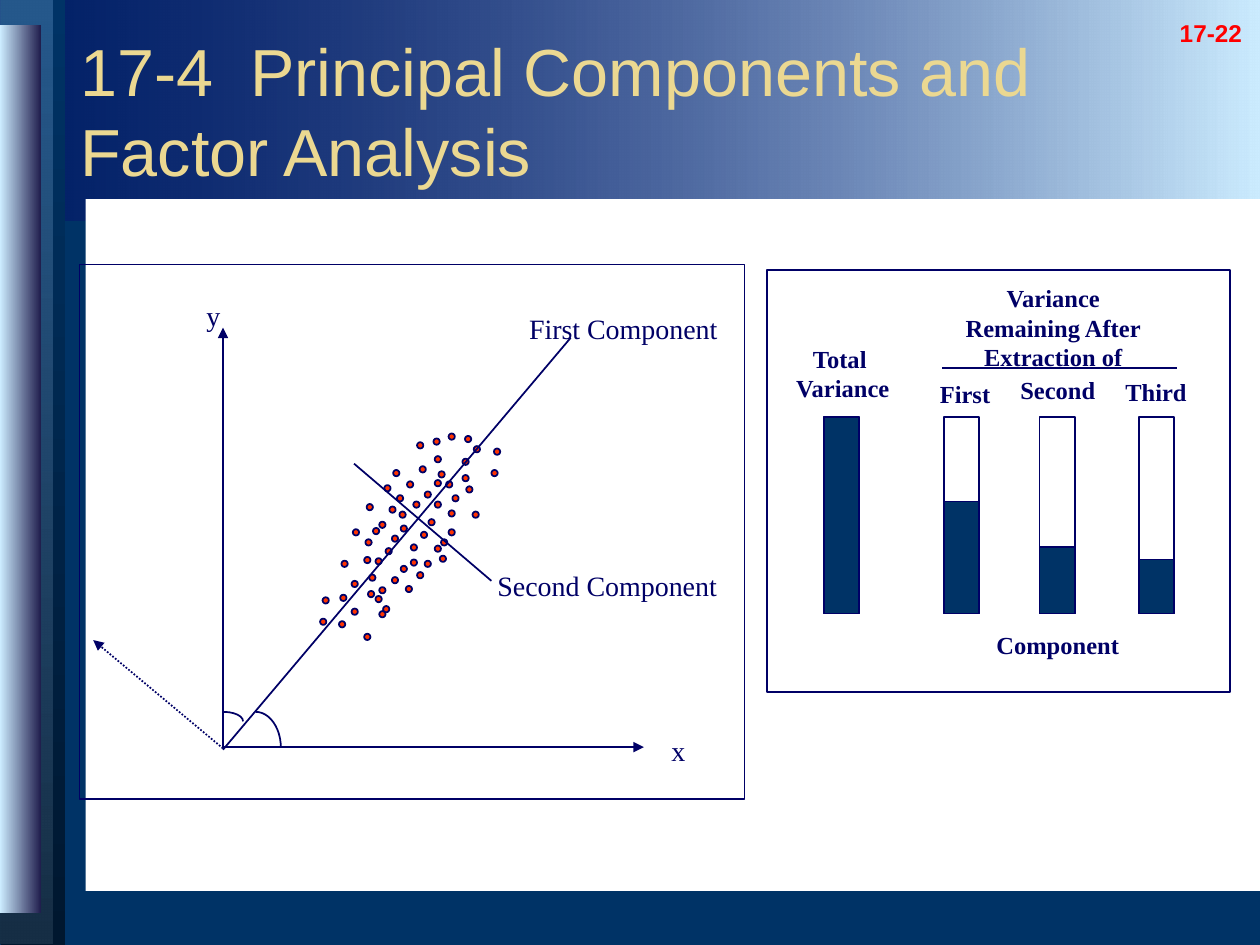
from lxml import etree
from pptx import Presentation
from pptx.dml.color import RGBColor
from pptx.enum.dml import MSO_LINE
from pptx.enum.shapes import MSO_CONNECTOR, MSO_SHAPE
from pptx.enum.text import MSO_ANCHOR, MSO_AUTO_SIZE, PP_ALIGN
from pptx.oxml.ns import qn
from pptx.util import Inches, Pt

RECTANGLE, OVAL, ARC = MSO_SHAPE.RECTANGLE, MSO_SHAPE.OVAL, MSO_SHAPE.ARC
STRAIGHT = MSO_CONNECTOR.STRAIGHT
DOTTED = MSO_LINE.ROUND_DOT
LEFT, CENTER = PP_ALIGN.LEFT, PP_ALIGN.CENTER
TOP, MIDDLE = MSO_ANCHOR.TOP, MSO_ANCHOR.MIDDLE
FIXED, GROW = MSO_AUTO_SIZE.NONE, MSO_AUTO_SIZE.SHAPE_TO_FIT_TEXT

NAVY = RGBColor(0x00, 0x00, 0x66)
DEEP_BLUE = RGBColor(0x00, 0x33, 0x66)
DARK_BLUE = RGBColor(0x00, 0x17, 0x2F)
STEEL = RGBColor(0x33, 0x66, 0x99)
SLATE = RGBColor(0x17, 0x2F, 0x46)
INDIGO = RGBColor(0x1E, 0x1B, 0x4B)
PALE_BLUE = RGBColor(0xCC, 0xEC, 0xFF)
WHITE = RGBColor(0xFF, 0xFF, 0xFF)
RED = RGBColor(0xFF, 0x00, 0x00)
ORANGE_RED = RGBColor(0xFF, 0x33, 0x00)
GOLD = RGBColor(0xEB, 0xD8, 0x91)

# Background bands: box, (colour, opacity percent) stops, angle
BANDS = [
    ((0, 0, 10, 1.75), [(PALE_BLUE, 100), (NAVY, 38)], 180),
    ((0.01, 0, 0.51, 7.5), [(DEEP_BLUE, 100), (DARK_BLUE, 100)], 270),
    ((-0.02, -0.01, 0.44, 7.5), [(STEEL, 73), (SLATE, 100)], 270),
    ((0, 0.2, 0.33, 7.05), [(INDIGO, 100), (PALE_BLUE, 100)], 180),
]
CONTENT_AREA = (0.68, 1.58, 9.32, 5.49)

# Text formats
TITLE = {"name": "Arial", "size": Pt(38)}
PAGE = {"name": "Arial", "size": Pt(24), "bold": True}
AXIS = {"name": "Times New Roman", "size": Pt(16)}
LABEL = {"name": "Times New Roman", "size": Pt(14), "bold": True}

# Scatter diagram
SCATTER_FRAME = (0.63, 2.1, 5.28, 4.24)
DOT_SIZE = 0.05
DOTS = [
    (3.44, 3.48), (3.09, 4.02), (2.8, 4.2), (2.89, 4.42), (3.06, 4.35),
    (2.79, 4.61), (2.91, 4), (3.11, 4.25), (3.69, 3.46), (3.7, 3.86),
    (3.54, 3.82), (3.26, 4.32), (3.56, 4.2), (2.98, 4.73), (3.9, 3.73),
    (3.22, 4.65), (3.33, 3.7), (3.15, 3.93), (3.18, 4.49), (3.05, 3.85),
    (3.01, 4.14), (3.56, 3.44), (3.45, 3.98), (3.31, 3.51), (3.76, 3.54),
    (3.26, 4.44), (3.12, 3.73), (2.96, 4.19), (2.98, 4.43), (3.01, 4.66),
    (2.79, 4.83), (2.71, 4.45), (3.49, 4.41), (3.92, 3.56), (3.75, 4.06),
    (3.01, 4.85), (3.37, 4.45), (3.56, 4.05), (3.4, 4.12), (3.67, 3.77),
    (3.34, 4.22), (3.04, 4.81), (2.7, 4.72), (2.92, 4.69), (3.18, 4.17),
    (2.9, 4.28), (3.48, 3.74), (2.56, 4.74), (3.23, 3.82), (3.11, 4.58),
    (3.31, 4.54), (3.28, 3.98), (3.45, 4.33), (2.89, 5.03), (2.93, 4.56),
    (2.69, 4.93), (3.17, 4.06), (3.5, 4.28), (3.37, 3.9), (3.45, 3.81),
    (3.67, 3.64), (3.59, 3.93), (2.54, 4.91), (3.45, 3.62),
]
# Lines: start, end, arrow at end, dash
LINES = [
    ((1.77, 5.92), (1.77, 2.6), True, None),     # y axis
    ((1.76, 5.93), (5.11, 5.93), True, None),    # x axis
    ((1.77, 5.95), (4.53, 2.68), False, None),   # first component
    ((2.81, 3.68), (3.9, 4.61), False, None),    # second component
    ((1.77, 5.94), (0.74, 5.08), True, DOTTED),  # rotated axis
    ((7.48, 2.92), (9.34, 2.92), False, None),   # rule under variance heading
]
ANGLE_ARCS = [(1.63, 5.65, 0.3, 0.15), (1.83, 5.65, 0.4, 0.57)]

# Variance bars: left edge, height of the filled part
VARIANCE_FRAME = (6.09, 2.14, 3.67, 3.35)
BAR_TOP, BAR_WIDTH, BAR_HEIGHT = 3.31, 0.28, 1.56
BARS = [(6.54, 1.56), (7.49, 0.89), (8.25, 0.53), (9.04, 0.43)]

# Labels: paragraphs, box, format, alignment
LABELS = [
    (["First Component"], (4.1, 2.42, 1.71, 0.36), AXIS, LEFT),
    (["Second Component"], (3.85, 4.46, 1.96, 0.36), AXIS, LEFT),
    (["x"], (5.23, 5.77, 0.31, 0.36), AXIS, LEFT),
    (["y"], (1.54, 2.32, 0.31, 0.36), AXIS, LEFT),
    (["Total ", "Variance"], (6.21, 2.68, 0.96, 0.56), LABEL, CENTER),
    (["Variance", "Remaining After", "Extraction of"],
     (7.56, 2.2, 1.6, 0.8), LABEL, CENTER),
    (["First"], (7.36, 2.96, 0.6, 0.33), LABEL, CENTER),
    (["Second"], (7.99, 2.93, 0.81, 0.33), LABEL, CENTER),
    (["Third"], (8.83, 2.94, 0.69, 0.33), LABEL, CENTER),
    (["Component"], (7.8, 4.95, 1.19, 0.33), LABEL, CENTER),
]

presentation = Presentation()
presentation.slide_width, presentation.slide_height = Inches(10), Inches(7.5)
slide = presentation.slides.add_slide(presentation.slide_layouts[6])
slide.background.fill.solid()
slide.background.fill.fore_color.rgb = DEEP_BLUE


def add_shape(kind, box, fill=None, line=None):
    shape = slide.shapes.add_shape(kind, *map(Inches, box))
    shape.shadow.inherit = False
    if fill is None:
        shape.fill.background()
    else:
        shape.fill.solid()
        shape.fill.fore_color.rgb = fill
    if line is None:
        shape.line.fill.background()
    else:
        shape.line.color.rgb = line
        shape.line.width = Pt(1)
    return shape


def add_band(box, stops, angle):
    band = add_shape(RECTANGLE, box)
    band.fill.gradient()
    band.fill.gradient_angle = angle
    for stop, position, (color, _) in zip(band.fill.gradient_stops, (0, 1), stops):
        stop.position = position
        stop.color.rgb = color
    elements = list(band._element.spPr.iter(qn("a:srgbClr")))
    for element, (_, opacity) in zip(elements, stops):
        if opacity < 100:
            etree.SubElement(element, qn("a:alpha"), val=str(opacity * 1000))


def add_line(start, end, arrow, dash):
    line = slide.shapes.add_connector(STRAIGHT, *map(Inches, start + end))
    line.line.color.rgb = NAVY
    line.line.width = Pt(1)
    if dash is not None:
        line.line.dash_style = dash
    if arrow:
        etree.SubElement(line.line._get_or_add_ln(), qn("a:tailEnd"), type="triangle")
    etree.SubElement(line._element.spPr, qn("a:effectLst"))


def add_text(paragraphs, box, text_format, align=LEFT, color=NAVY,
             wrap=False, anchor=TOP, auto_size=GROW):
    frame = slide.shapes.add_textbox(*map(Inches, box)).text_frame
    frame.auto_size = auto_size
    frame.word_wrap = wrap
    frame.vertical_anchor = anchor
    frame.text = "\n".join(paragraphs)
    for paragraph in frame.paragraphs:
        paragraph.alignment = align
        font = paragraph.runs[0].font
        font.color.rgb = color
        for name, value in text_format.items():
            setattr(font, name, value)
    return frame


# Background and page number
for band in BANDS:
    add_band(*band)
add_shape(RECTANGLE, CONTENT_AREA, WHITE)
page = add_text(["17-22"], (9.17, -0.13, 0.88, 0.56), PAGE, CENTER, RED, True,
                auto_size=FIXED)
page.paragraphs[0].runs[0].font._element.set("baseline", "-25000")

# Scatter diagram
for left, top in DOTS:
    add_shape(OVAL, (left, top, DOT_SIZE, DOT_SIZE), ORANGE_RED, NAVY)
for line in LINES:
    add_line(*line)
for box in ANGLE_ARCS:
    add_shape(ARC, box, line=NAVY)

# Variance bars
for left, filled in BARS:
    add_shape(RECTANGLE, (left, BAR_TOP, BAR_WIDTH, BAR_HEIGHT), line=NAVY)
    add_shape(RECTANGLE, (left, BAR_TOP + BAR_HEIGHT - filled, BAR_WIDTH, filled),
              DEEP_BLUE, NAVY)

# Frames, labels and title
for frame_box in (SCATTER_FRAME, VARIANCE_FRAME):
    add_shape(RECTANGLE, frame_box, line=NAVY)
for label in LABELS:
    add_text(*label)
add_text(["17-4  Principal Components and Factor Analysis"],
         (0.54, 0.25, 9.27, 1.25), TITLE, LEFT, GOLD, True, MIDDLE, FIXED)

presentation.save("out.pptx")
